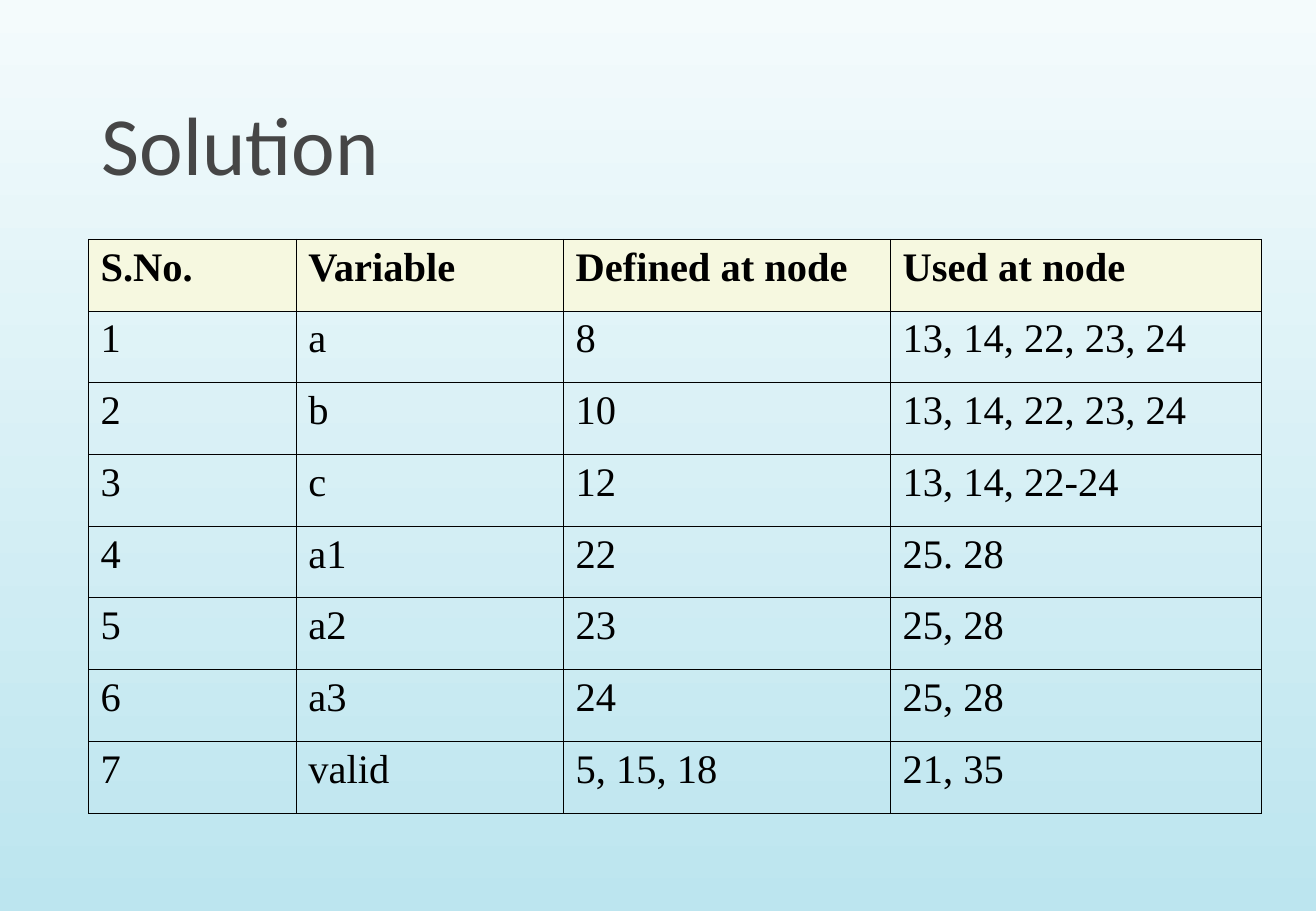
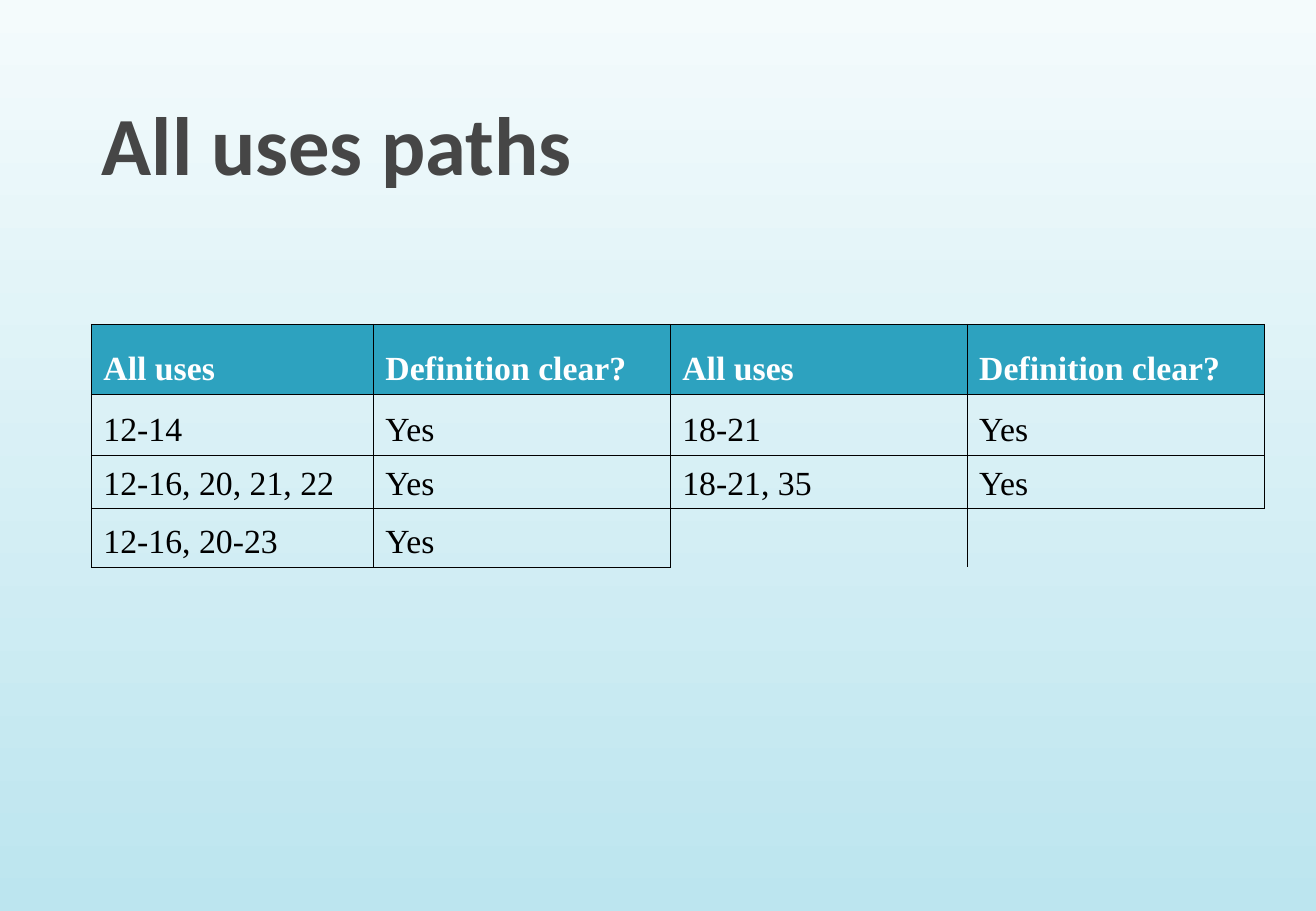
from lxml import etree
from pptx import Presentation
from pptx import util as u
from pptx.dml.color import RGBColor
from pptx.enum import text
from pptx.oxml import ns

PLAIN = "{2D5ABB26-0587-4C30-8999-92F81FD0307C}"
SIDES = {"lnL": (0, -1), "lnR": (0, 1), "lnT": (-1, 0), "lnB": (1, 0)}


def paint(code):
    return RGBColor.from_string(code)


class Deck:
    ink, grey = "000000", "464646"
    sky = ("F4FBFC", "BCE5EF")
    head, body = "Calibri", "Times New Roman"

    def __init__(self):
        self.prs = Presentation()
        self.prs.slide_width, self.prs.slide_height = u.Cm(27.53), u.Cm(19.05)
        fill = self.prs.slide_master.background.fill
        fill.gradient()
        fill.gradient_angle = 270
        for stop, code in zip(fill.gradient_stops, self.sky):
            stop.color.rgb = paint(code)

    def label(self, para, words, face, size, code, bold):
        run = para.add_run()
        run.text = words
        font = run.font
        font.name, font.size, font.bold = face, u.Pt(size), bold
        font.color.rgb = paint(code)

    def page(self, words, bold=False):
        self.slide = self.prs.slides.add_slide(self.prs.slide_layouts[5])
        box = self.slide.shapes.title
        box.left, box.top = u.Cm(1.83), u.Cm(0.43)
        box.width, box.height = u.Cm(24.54), u.Cm(3.73)
        frame = box.text_frame
        frame.margin_left = frame.margin_right = u.Cm(0.3)
        frame.margin_top = frame.margin_bottom = u.Cm(0.15)
        frame.vertical_anchor = text.MSO_ANCHOR.BOTTOM
        frame.auto_size = text.MSO_AUTO_SIZE.NONE
        para = frame.paragraphs[0]
        para.alignment = text.PP_ALIGN.LEFT
        self.label(para, words, self.head, 49, self.grey, bold)

    def edge(self, cell, tag):
        line = etree.SubElement(cell._tc.get_or_add_tcPr(), ns.qn("a:" + tag), w=str(u.Pt(0.45)))
        fill = etree.SubElement(line, ns.qn("a:solidFill"))
        etree.SubElement(fill, ns.qn("a:srgbClr"), val=self.ink)

    def table(self, left, top, cols, rows, data, size, band, ink, align, anchor):
        shape = self.slide.shapes.add_table(
            len(rows), len(cols), u.Cm(left), u.Cm(top), u.Cm(sum(cols)), u.Cm(sum(rows)))
        grid = shape.table
        grid.first_row = grid.horz_banding = False
        grid._tbl.tblPr.find(ns.qn("a:tableStyleId")).text = PLAIN
        for col, width in zip(grid.columns, cols):
            col.width = u.Cm(width)
        for row, height in zip(grid.rows, rows):
            row.height = u.Cm(height)
        full = {(r, c) for r, line in enumerate(data) for c in range(len(line))}
        for r in range(len(rows)):
            for c in range(len(cols)):
                cell = grid.cell(r, c)
                for tag, (down, right) in SIDES.items():
                    if full & {(r, c), (r + down, c + right)}:
                        self.edge(cell, tag)
                if r == 0:
                    cell.fill.solid()
                    cell.fill.fore_color.rgb = paint(band)
                else:
                    cell.fill.background()
                if (r, c) not in full:
                    continue
                cell.vertical_anchor = anchor
                para = cell.text_frame.paragraphs[0]
                para.alignment = align
                inset = para._p.get_or_add_pPr()
                inset.set("marL", str(u.Cm(1.04)))
                inset.set("indent", str(-u.Cm(1.04)))
                self.label(para, data[r][c], self.body, size, self.ink if r else ink, r == 0)


def main():
    deck = Deck()
    deck.page("Solution")
    nodes = [
        ("S.No.", "Variable", "Defined at node", "Used at node"),
        ("1", "a", "8", "13, 14, 22, 23, 24"),
        ("2", "b", "10", "13, 14, 22, 23, 24"),
        ("3", "c", "12", "13, 14, 22-24"),
        ("4", "a1", "22", "25. 28"),
        ("5", "a2", "23", "25, 28"),
        ("6", "a3", "24", "25, 28"),
        ("7", "valid", "5, 15, 18", "21, 35"),
    ]
    deck.table(1.85, 5, (4.35, 5.59, 6.84, 7.76), [1.5] * len(nodes), nodes, 24,
               "F6F8E0", deck.ink, text.PP_ALIGN.JUSTIFY, text.MSO_ANCHOR.TOP)

    deck.page("All uses paths", bold=True)
    uses = [
        ("All uses", "Definition clear?") * 2,
        ("12-14", "Yes", "18-21", "Yes"),
        ("12-16, 20, 21, 22", "Yes", "18-21, 35", "Yes"),
        ("12-16, 20-23", "Yes"),
    ]
    deck.table(1.91, 6.78, (5.9, 6.21, 6.21, 6.21), (1.46, 1.28, 1.11, 1.23), uses, 20,
               "2DA2BF", "FFFFFF", text.PP_ALIGN.LEFT, text.MSO_ANCHOR.BOTTOM)
    deck.prs.save("out.pptx")


if __name__ == "__main__":
    main()
